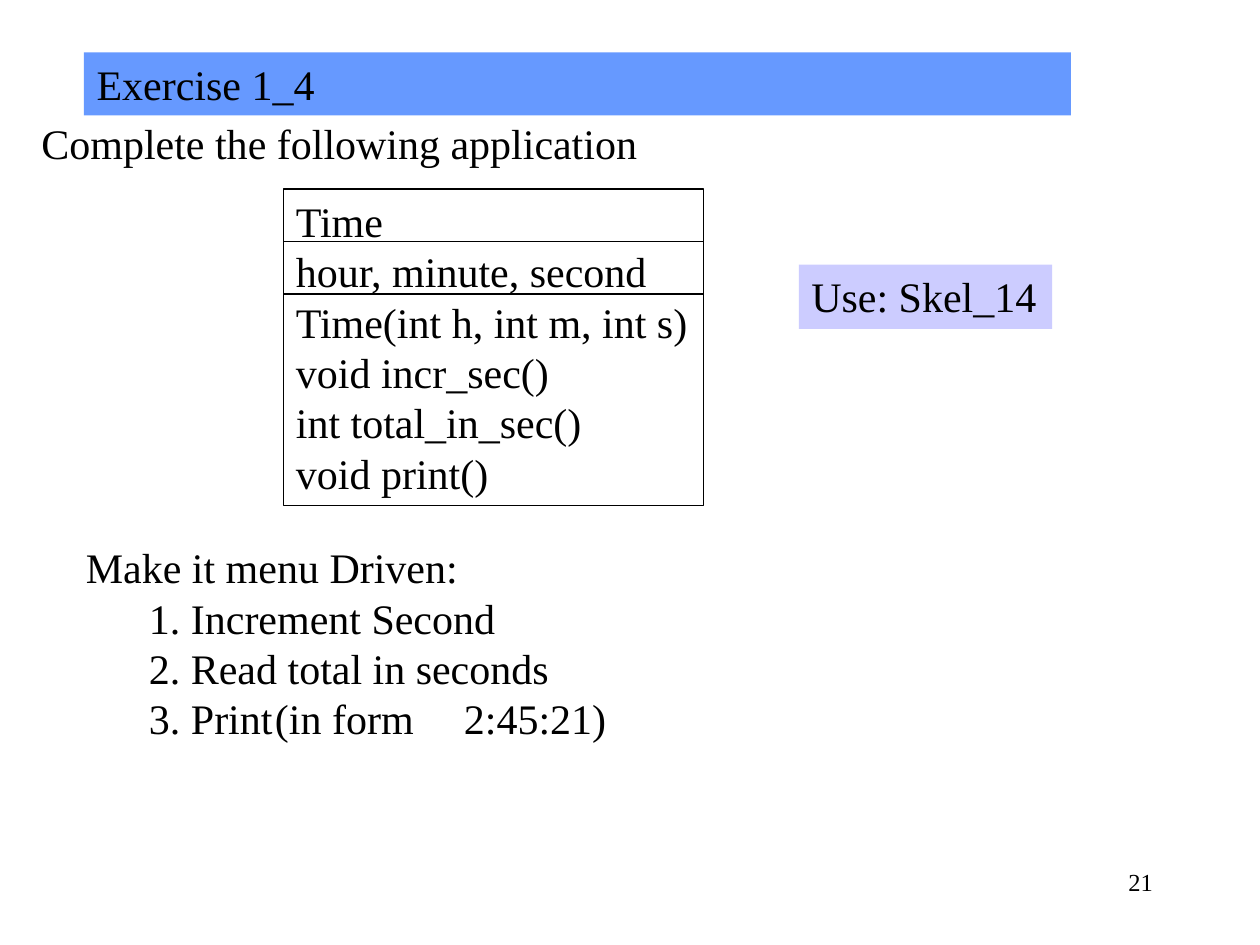
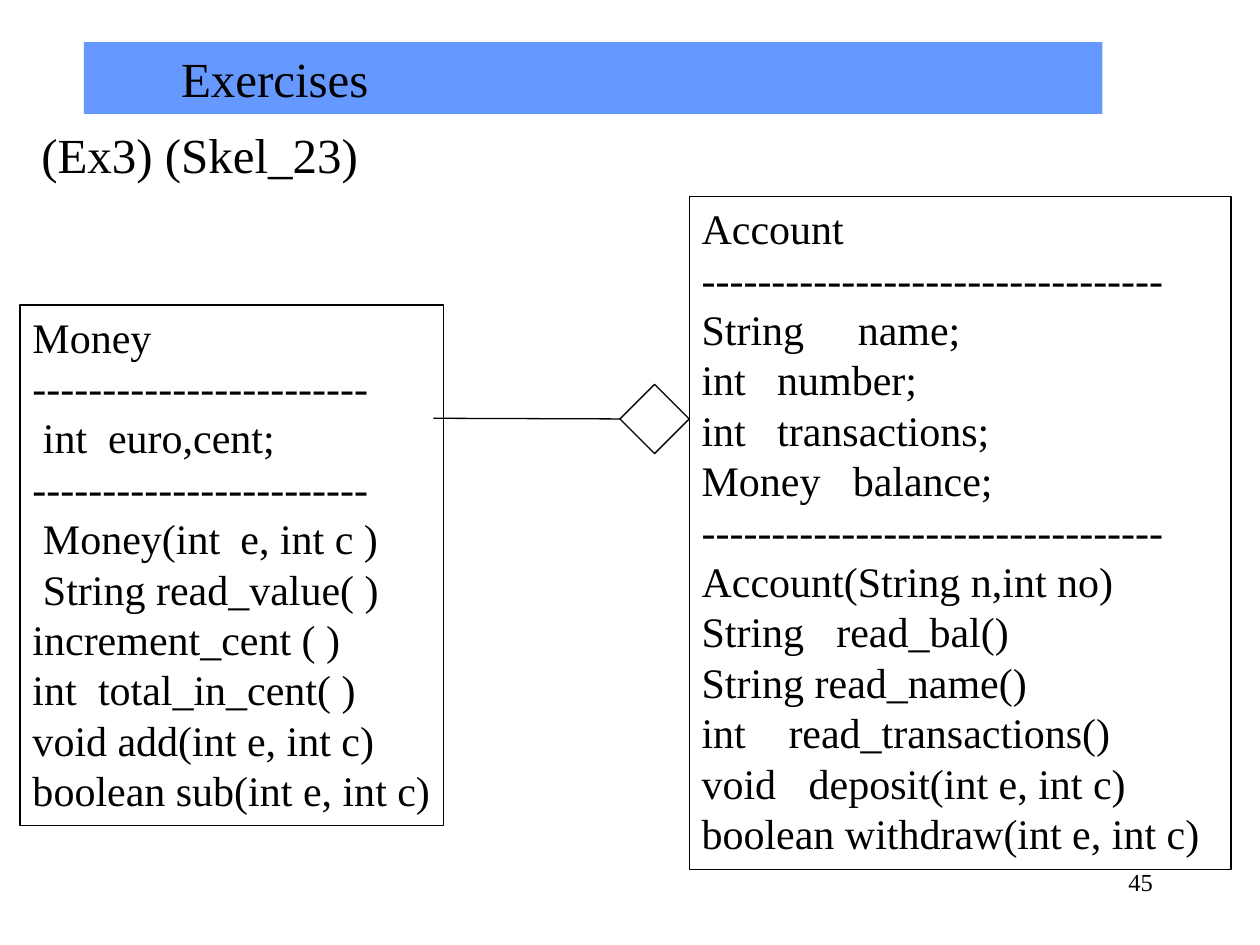
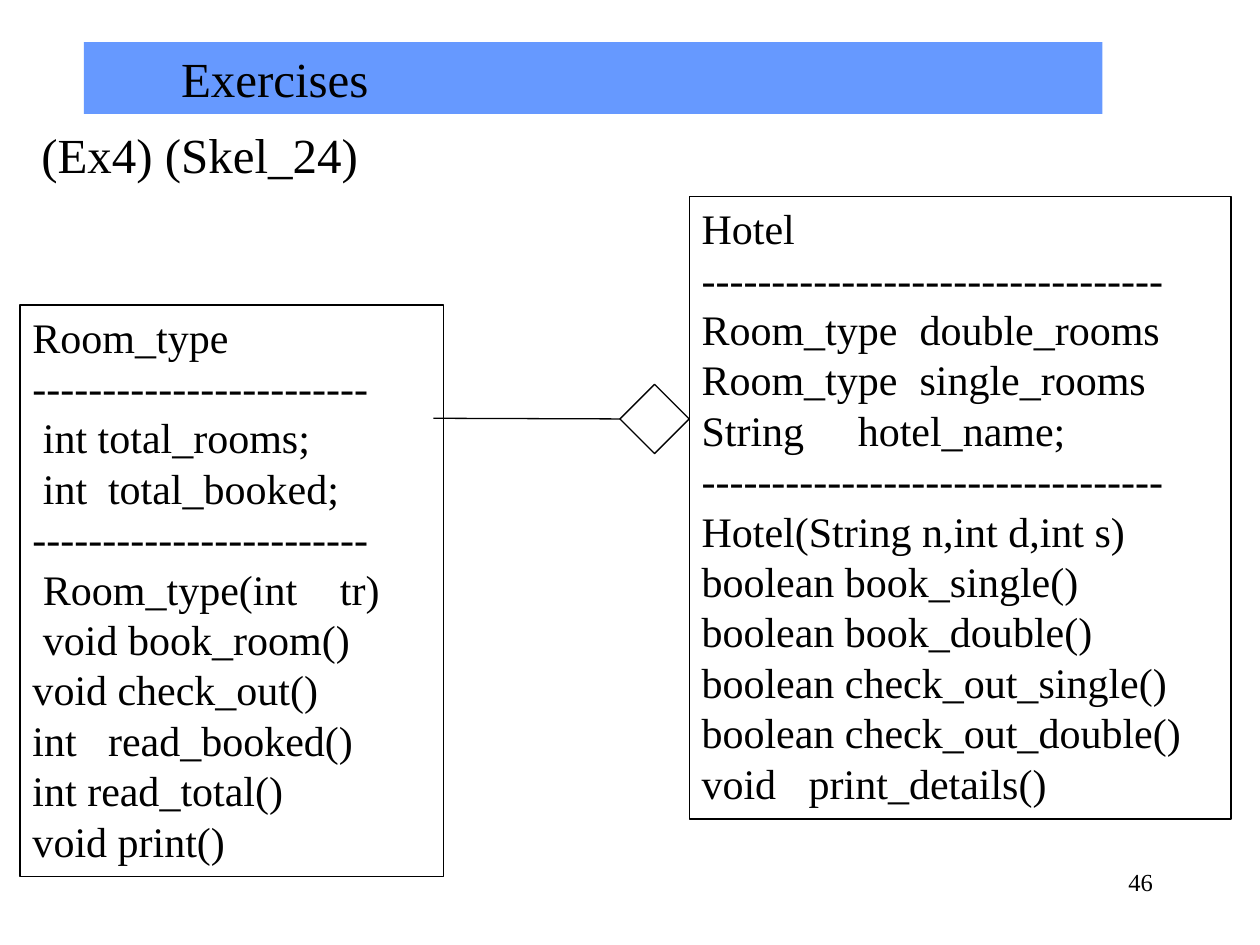
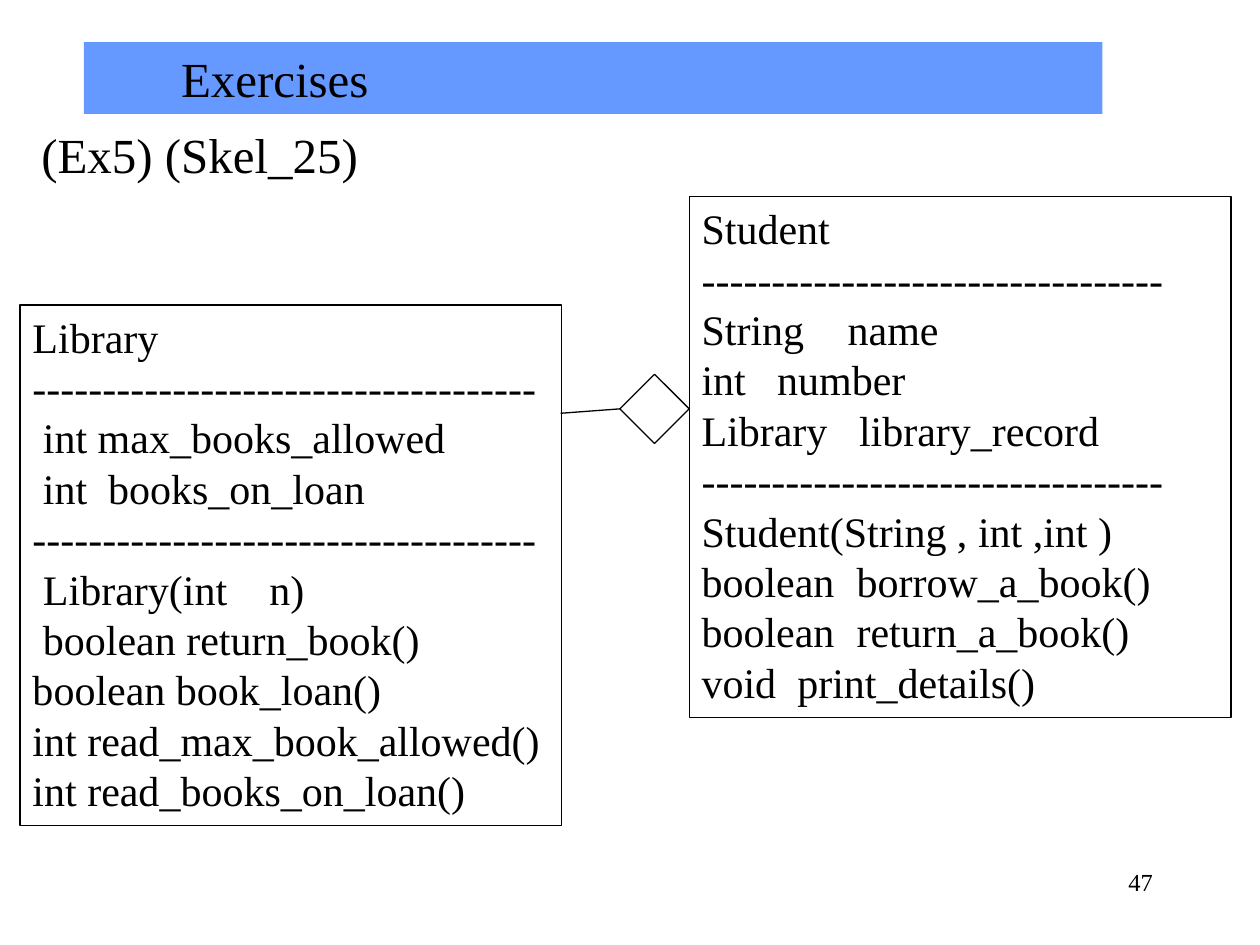
"""Build four slides of class-diagram exercises."""
from pptx import Presentation
from pptx.dml.color import RGBColor
from pptx.enum.shapes import MSO_CONNECTOR as Link, MSO_SHAPE as Form
from pptx.enum.text import MSO_ANCHOR as Anchor, MSO_AUTO_SIZE as Auto, PP_ALIGN as Align
from pptx.oxml.ns import qn
from pptx.util import Inches, Pt
from lxml.etree import SubElement

BLACK = RGBColor(0x00, 0x00, 0x00)
WHITE = RGBColor(0xFF, 0xFF, 0xFF)
BLUE = RGBColor(0x66, 0x99, 0xFF)
LILAC = RGBColor(0xCC, 0xCC, 0xFF)
FACE = "Times New Roman"
INSET = 0.1

deck = Presentation()
deck.slide_width, deck.slide_height = Inches(10), Inches(7.5)
COL = deck.slide_width / 120
ROW = deck.slide_height / 90


def put(shape, lines, size=24, wrap=True, align=Align.LEFT, left=INSET):
    """Write lines, each a string or a (string, tab stops...) tuple."""
    frame = shape.text_frame
    look = {"auto_size": Auto.NONE, "word_wrap": wrap, "vertical_anchor": Anchor.TOP,
            "margin_left": Inches(left), "margin_right": Inches(INSET),
            "margin_top": Inches(0.05), "margin_bottom": Inches(0.05)}
    for key, value in look.items():
        setattr(frame, key, value)
    for at, line in enumerate(lines):
        text, *stops = (line,) if isinstance(line, str) else line
        para = frame.paragraphs[0] if at == 0 else frame.add_paragraph()
        para.alignment = align
        run = para.add_run()
        run.text = text
        for key, value in {"name": FACE, "size": Pt(size), "bold": False}.items():
            setattr(run.font, key, value)
        run.font.color.rgb = BLACK
        if stops:
            tabs = SubElement(para._p.get_or_add_pPr(), qn("a:tabLst"))
            for stop in stops:
                SubElement(tabs, qn("a:tab"), pos=str(Inches(stop)), algn="l")
    return frame


def draw(slide, area, form=Form.RECTANGLE, fill=None, line=True):
    """Add a flat shape on the grid."""
    x, y, w, h = area
    shape = slide.shapes.add_shape(form, int(x * COL), int(y * ROW), int(w * COL), int(h * ROW))
    shape.shadow.inherit = False
    if fill is None:
        shape.fill.background()
    else:
        shape.fill.solid()
        shape.fill.fore_color.rgb = fill
    if line:
        shape.line.color.rgb = BLACK
        shape.line.width = Pt(0.75)
    else:
        shape.line.fill.background()
    return shape


RULE = "-" * 24
LONG = "-" * 33
WIDE = "-" * 36

TIME = ["Time", "hour, minute, second", "Time(int h, int m, int s)",
        "void incr_sec()", "int total_in_sec()", "void print()"]
MENU = ["Make it menu Driven:", "1. Increment Second", "2. Read total in seconds",
        ("3. Print\t(in form\t2:45:21)", 3.98, 5.33)]

MONEY = ["Money", RULE, (" int\teuro,cent;", 0.6), RULE,
         (" Money(int\te, int c )", 1.65), " String read_value( )",
         "increment_cent ( )", ("int\ttotal_in_cent( )", 0.52),
         "void add(int e, int c) boolean sub(int e, int c)"]
ACCOUNT = ["Account", LONG, ("String\tname;", 1.24), ("int\tnumber;", 0.6),
           ("int\ttransactions;", 0.6), ("Money\tbalance;", 1.2), LONG,
           "Account(String n,int no)", ("String\tread_bal()", 1.07),
           "String read_name()", ("int\tread_transactions()", 0.69),
           ("void\tdeposit(int e, int c) boolean withdraw(int e, int c)", 0.85)]
ROOM = ["Room_type", RULE, " int total_rooms;", (" int\ttotal_booked;", 0.6), RULE,
        (" Room_type(int\ttr)", 2.44), " void book_room()", "void check_out()",
        ("int\tread_booked()", 0.6), "int read_total()", "void print()"]
HOTEL = ["Hotel", LONG, ("Room_type\tdouble_rooms", 1.73),
         ("Room_type\tsingle_rooms", 1.73), ("String\thotel_name;", 1.24), LONG,
         "Hotel(String n,int d,int s)", "boolean book_single()",
         "boolean book_double()", "boolean check_out_single()",
         "boolean check_out_double()", ("void\tprint_details()", 0.85)]
LIBRARY = ["Library", WIDE, " int max_books_allowed", (" int\tbooks_on_loan", 0.6), WIDE,
           (" Library(int\tn)", 1.88), " boolean return_book()", "boolean book_loan()",
           "int read_max_book_allowed() int read_books_on_loan()"]
STUDENT = ["Student", LONG, ("String\tname", 1.16), ("int\tnumber", 0.6),
           ("Library\tlibrary_record", 1.25), LONG, "Student(String , int ,int )",
           ("boolean\tborrow_a_book() boolean\treturn_a_book()", 1.23),
           ("void\tprint_details()", 0.76)]

PAGES = [
    ("Exercise 1_4", (8, 5, 94, 6), 24, INSET, "21"),
    ("Exercises", (8, 4, 97, 6.84), 28, 0.77, "45"),
    ("Exercises", (8, 4, 97, 6.84), 28, 0.77, "46"),
    ("Exercises", (8, 4, 97, 6.84), 28, 0.77, "47"),
]
slides = []
for title, (x, y, w, h), size, left, number in PAGES:
    slide = deck.slides.add_slide(deck.slide_layouts[5])
    band = slide.shapes.title
    place = {"left": x * COL, "top": y * ROW, "width": w * COL, "height": h * ROW}
    for key, value in place.items():
        setattr(band, key, int(value))
    band.fill.solid()
    band.fill.fore_color.rgb = BLUE
    put(band, [title], size, left=left)
    foot = slide.shapes.add_textbox(int(86 * COL), int(82 * ROW), int(25 * COL), int(6 * ROW))
    put(foot, [number], 14, align=Align.RIGHT)
    slides.append(slide)

first, *pairs = slides
links = []
task = first.shapes.add_textbox(int(2.76 * COL), int(10.56 * ROW), int(60.96 * COL), int(6.12 * ROW))
put(task, ["Complete the following application"], wrap=False)
put(draw(first, (27, 18, 40, 30.12)), TIME, wrap=False)
for row in (23, 28):
    links.append(first.shapes.add_connector(
        Link.STRAIGHT, int(27 * COL), int(row * ROW), int(67 * COL), int(row * ROW)))
hint = draw(first, (76.08, 25.2, 24.12, 6.12), fill=LILAC, line=False)
put(hint, ["Use: Skel_14"], wrap=False)
menu = first.shapes.add_textbox(int(7 * COL), int(51 * ROW), int(98 * COL), int(20.64 * ROW))
for para in put(menu, MENU).paragraphs[1:]:
    form = para._p.get_or_add_pPr()
    form.set("marL", "0")
    form.set("indent", str(Inches(0.5)))

PLANS = [
    ("(Ex3) (Skel_23)", MONEY, 10, 40.32, ACCOUNT, 13, 36.6, (41.28, 39.84)),
    ("(Ex4) (Skel_24)", ROOM, 11, 40.32, HOTEL, 12, 36.6, (41.28, 39.84)),
    ("(Ex5) (Skel_25)", LIBRARY, 10, 51.6, STUDENT, 10, 35.64, (53.4, 39.36)),
]
for slide, plan in zip(pairs, PLANS):
    label, part, short, width, whole, tall, top, (x, y) = plan
    head = slide.shapes.add_textbox(
        int(2.76 * COL), int(11.28 * ROW), int(102.36 * COL), int(71.04 * ROW))
    put(head, [label], 28)
    put(draw(slide, (1.92, 29.04, width, 4.84 * short + 1.2)), part)
    put(draw(slide, (65.64, 18.72, 51.6, 4.84 * tall + 1.2)), whole)
    gem = draw(slide, (59.04, top, 6.6, 6.6), Form.DIAMOND, WHITE)
    link = slide.shapes.add_connector(
        Link.STRAIGHT, int(59.04 * COL), int((top + 3.3) * ROW), int(x * COL), int(y * ROW))
    link.begin_connect(gem, 1)
    links.append(link)

for link in links:
    link.line.color.rgb = BLACK
    link.line.width = Pt(0.75)
    SubElement(link._element.spPr, qn("a:effectLst"))

deck.save("out.pptx")
